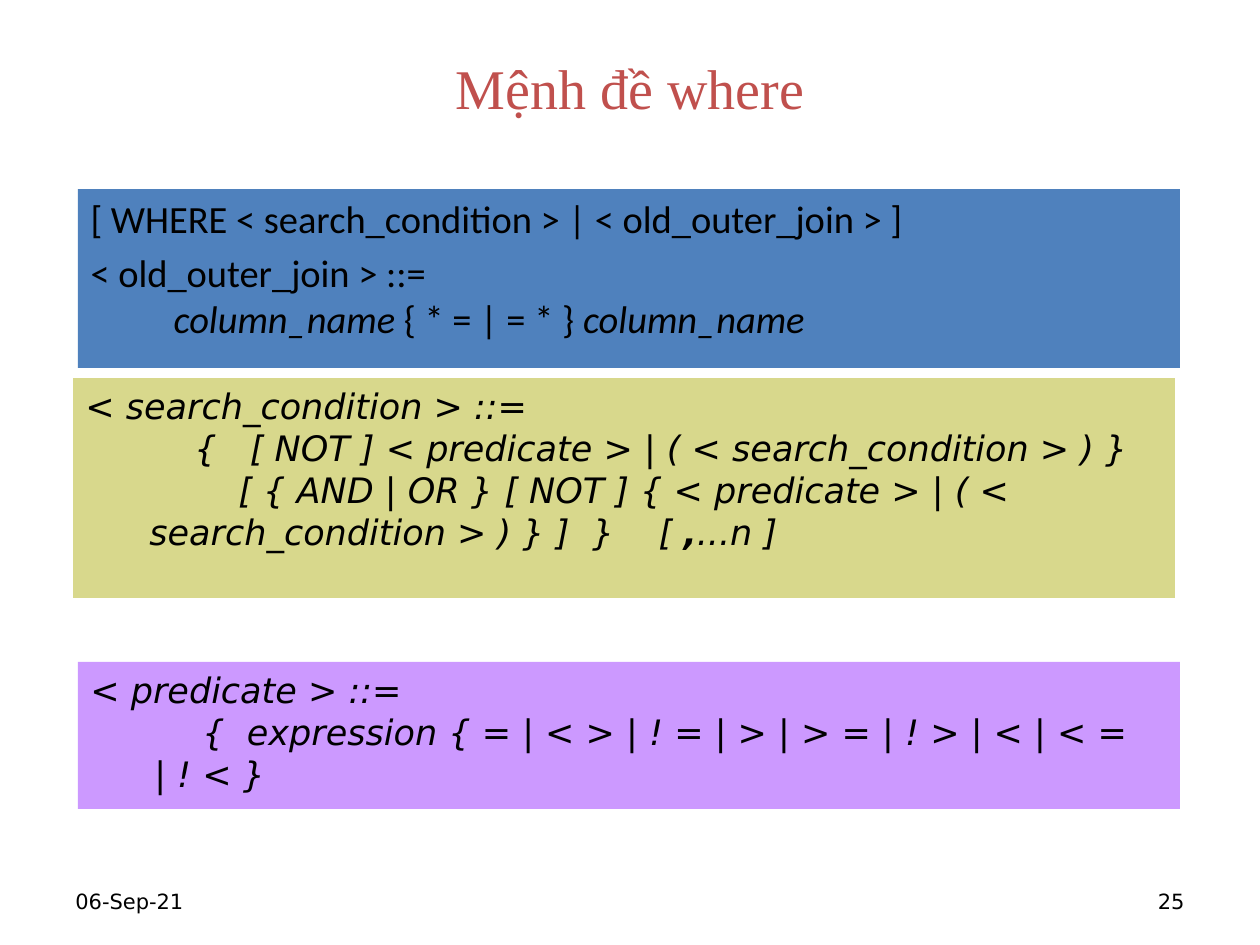
from pptx import Presentation
from pptx.dml.color import RGBColor
from pptx.enum.shapes import MSO_SHAPE as Shape
from pptx.enum.text import MSO_ANCHOR as Anchor, MSO_AUTO_SIZE as AutoSize, PP_ALIGN as Align
from pptx.oxml import parse_xml
from pptx.oxml.ns import nsdecls
from pptx.util import Emu, Pt

PX_PER_INCH = 126
COLORS = {
    "text": "000000",
    "title": "C0504D",
    "where": "4F81BD",
    "search": "D8D88C",
    "predicate": "CC99FF",
}


def px(n):
    return Emu(round(n * 914400 / PX_PER_INCH))


def color(name):
    return RGBColor.from_string(COLORS[name])


def add_text(p, text, font="DejaVu Sans", size=20, fill="text",
             italic=False, bold=False, tracking=0):
    """Add a run to a paragraph; tracking is extra letter spacing in px."""
    r = p.add_run()
    r.text = text
    f = r.font
    f.name, f.size, f.italic, f.bold = font, Pt(size), italic, bold
    f.color.rgb = color(fill)
    if tracking:
        r._r.get_or_add_rPr().set("spc", str(round(tracking * 7200 / PX_PER_INCH)))


def gap(width):
    """A single space widened by the given px."""
    return " ", {"tracking": width}


class SlideBuilder:
    def __init__(self, prs):
        self.slide = prs.slides.add_slide(prs.slide_layouts[1])

    def place(self, sp, x, y, w, h):
        sp.left, sp.top, sp.width, sp.height = map(px, (x, y, w, h))
        tf = sp.text_frame
        tf.word_wrap = True
        tf.auto_size = AutoSize.NONE
        return tf

    def title(self, text, *box):
        tf = self.place(self.slide.shapes.title, *box)
        tf.vertical_anchor = Anchor.MIDDLE
        p = tf.paragraphs[0]
        p.alignment = Align.CENTER
        add_text(p, text, font="Times New Roman", size=32, fill="title")

    def footer(self, text, x, align):
        box = (x, 876, 294, 50)
        sp = self.slide.shapes.add_textbox(*map(px, box))
        tf = self.place(sp, *box)
        tf.vertical_anchor = Anchor.MIDDLE
        p = tf.paragraphs[0]
        p.alignment = align
        add_text(p, text, size=12)

    def body(self, box, fill, lines, **style):
        self.fill_syntax(self.slide.placeholders[1], box, fill, lines, **style)

    def panel(self, box, fill, lines, **style):
        sp = self.slide.shapes.add_shape(Shape.RECTANGLE, *map(px, box))
        sp.shadow.inherit = False
        self.fill_syntax(sp, box, fill, lines, **style)

    def fill_syntax(self, sp, box, fill, lines, hang, **style):
        """Write syntax lines, each given as (first-line start, space before, runs)."""
        sp.fill.solid()
        sp.fill.fore_color.rgb = color(fill)
        sp.line.fill.background()
        tf = self.place(sp, *box)
        tf.vertical_anchor = Anchor.TOP
        for i, (start, before, runs) in enumerate(lines):
            p = tf.paragraphs[0] if i == 0 else tf.add_paragraph()
            p.alignment = Align.LEFT
            p.space_before = Pt(before)
            pPr = p._p.get_or_add_pPr()
            pPr.set("marL", str(px(hang)))
            pPr.set("indent", str(px(start - hang)))
            pPr.append(parse_xml(f"<a:buNone {nsdecls('a')}/>"))
            for text, extra in runs:
                add_text(p, text, **{**style, **extra})


def main():
    prs = Presentation()
    prs.slide_width, prs.slide_height = px(1260), px(945)
    s = SlideBuilder(prs)

    s.footer("06-Sep-21", 63, Align.LEFT)
    s.footer("25", 903, Align.RIGHT)
    s.title("Mệnh đề where", 63, 38, 1134, 98)

    column = ("column_name", {"italic": True})
    s.body((78, 189, 1102, 179), "where", [
        (0, 4.4, [("[ WHERE < search_condition > | < old_outer_join > ]", {})]),
        (0, 4.4, [("< old_outer_join > ::=", {})]),
        (83, 0, [column, (" { * = | = * } ", {}), column]),
    ], hang=48, font="Calibri", size=22)

    s.panel((73, 378, 1102, 220), "search", [
        (0, 4, [("< search_condition > ::=", {})]),
        (109, 0, [("{", {}), gap(22),
                  ("[ NOT ] < predicate > | ( < search_condition > ) }", {})]),
        (153, 0, [("[ { AND | OR } [ NOT ] { < predicate > | ( < search_condition > ) } ]", {}),
                  gap(11), ("}", {}), gap(33), ("[ ", {}),
                  (",", {"bold": True}), ("...n ]", {})]),
    ], hang=64, italic=True)

    s.panel((78, 662, 1102, 147), "predicate", [
        (0, 4, [("< predicate > ::=", {})]),
        (112, 0, [("{", {}), gap(11),
                  ("expression { = | < > | ! = | > | > = | ! > | < | < = | ! < }", {})]),
    ], hang=64, italic=True)

    prs.save("out.pptx")


if __name__ == "__main__":
    main()
